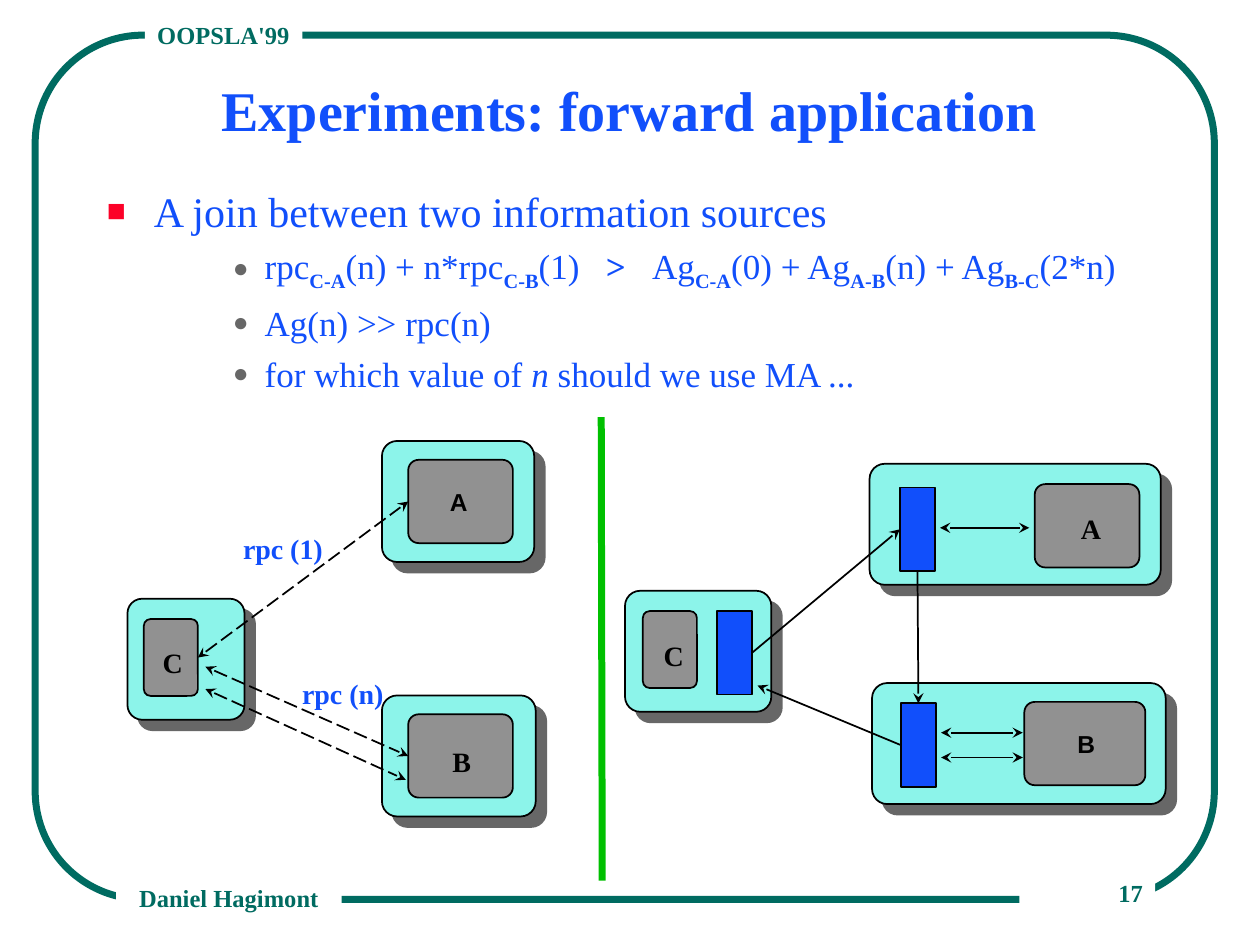
import pptx
import pptx.dml.color
import pptx.enum.dml
import pptx.enum.shapes
import pptx.enum.text
import pptx.oxml.ns
import pptx.util
from lxml import etree

Cm, Pt = pptx.util.Cm, pptx.util.Pt
SHAPE = pptx.enum.shapes.MSO_SHAPE
ALIGN = pptx.enum.text.PP_ALIGN
ANCHOR = pptx.enum.text.MSO_ANCHOR
DASH = pptx.enum.dml.MSO_LINE.LONG_DASH

GREEN, BLUE, BLACK, WHITE = "006B61", "114FFB", "000000", "FFFFFF"
AQUA, GRAY, DARK, RED, DIVIDER = "8CF4EA", "919191", "676767", "FC0128", "00C000"
SERIF, SANS = "Times New Roman", "Arial"
HOST_H = 2.44


def rgb(color):
    return pptx.dml.color.RGBColor.from_string(color)


def sub(parent, tag, **attrs):
    return etree.SubElement(parent, pptx.oxml.ns.qn(tag), attrs)


def style_font(font, size, color, bold=False, name=SERIF):
    font.size, font.bold, font.name = Pt(size), bold, name
    font.color.rgb = rgb(color)


def place(sp, box):
    sp.left, sp.top, sp.width, sp.height = (Cm(v) for v in box)


def add_box(s, box, kind, fill=None, line=BLACK, width=1):
    sp = s.shapes.add_shape(kind, *(Cm(v) for v in box))
    sp.shadow.inherit = False
    if kind == SHAPE.ROUNDED_RECTANGLE:
        sp.adjustments[0] = 0.125
    if fill:
        sp.fill.solid()
        sp.fill.fore_color.rgb = rgb(fill)
    else:
        sp.fill.background()
    sp.line.color.rgb = rgb(line)
    sp.line.width = Pt(width)
    return sp


def add_label(s, box, text, size=16, color=BLACK, name=SERIF, align=ALIGN.LEFT, fill=None):
    sp = s.shapes.add_textbox(*(Cm(v) for v in box))
    if fill:
        sp.fill.solid()
        sp.fill.fore_color.rgb = rgb(fill)
    tf = sp.text_frame
    tf.word_wrap = align != ALIGN.LEFT
    tf.text = text
    p = tf.paragraphs[0]
    p.alignment = align
    style_font(p.runs[0].font, size, color, True, name)
    return sp


def add_link(s, origin, start, end, color=BLACK, width=1, dash=None, head=False, tail=True):
    """Each end is an (x, y) point within the region or a (shape, site) pair."""
    ends = []
    for a, b in (start, end):
        glued = isinstance(a, pptx.shapes.autoshape.Shape)
        ends += [0, 0] if glued else [Cm(origin[0] + a), Cm(origin[1] + b)]
    c = s.shapes.add_connector(pptx.enum.shapes.MSO_CONNECTOR.STRAIGHT, *ends)
    for (a, b), connect in ((start, c.begin_connect), (end, c.end_connect)):
        if isinstance(a, pptx.shapes.autoshape.Shape):
            connect(a, b)
    c.line.color.rgb = rgb(color)
    c.line.width = Pt(width)
    if dash:
        c.line.dash_style = dash
    ln = c.line._get_or_add_ln()
    for wanted, tag in ((head, "a:headEnd"), (tail, "a:tailEnd")):
        if wanted:
            sub(ln, tag, type="stealth")
    sub(c._element.spPr, "a:effectLst")
    return c


def add_host(s, box, core, label, text, size=16, name=SERIF, agent=None):
    """A machine with its application core, its letter and an optional agent."""
    x, y = box[:2]
    sp = add_box(s, box, SHAPE.ROUNDED_RECTANGLE, AQUA)
    effects = sp._element.spPr.find(pptx.oxml.ns.qn("a:effectLst"))
    shadow = sub(effects, "a:outerShdw", dist=str(Pt(8.5)), dir="2700000",
                 algn="tl", rotWithShape="0")
    sub(shadow, "a:srgbClr", val=DARK)
    core_sp = add_box(s, (x + core[0], y + core[1], *core[2:]), SHAPE.ROUNDED_RECTANGLE, GRAY)
    add_label(s, (x + label[0], y + label[1], 0.9, 0.92), text, size, name=name)
    agent_sp = None
    if agent:
        agent_sp = add_box(s, (x + agent[0], y + agent[1], 0.71, 1.68), SHAPE.RECTANGLE, BLUE)
    return core_sp, agent_sp


def add_frame(s, box):
    x, y, w, h = box
    add_box(s, box, SHAPE.ROUNDED_RECTANGLE, line=GREEN, width=4)
    labels = [
        ((x + 2.21, y - 0.43, 3.18, 0.84), "OOPSLA'99", ALIGN.LEFT),
        ((x + 19.84, y + h - 0.56, 2.74, 0.84), "17", ALIGN.RIGHT),
        ((x + 1.63, y + h - 0.46, 4.55, 0.66), "Daniel Hagimont", ALIGN.CENTER),
    ]
    for label_box, text, align in labels:
        sp = add_label(s, label_box, text, 14, GREEN, align=align, fill=WHITE)
        if align == ALIGN.RIGHT:
            sp.text_frame.vertical_anchor = ANCHOR.MIDDLE


def fill_title(s, box):
    sp = s.shapes.title
    place(sp, box)
    tf = sp.text_frame
    tf.text = "Experiments: forward application"
    tf.vertical_anchor = ANCHOR.BOTTOM
    tf.auto_size = pptx.enum.text.MSO_AUTO_SIZE.NONE
    tf.paragraphs[0].alignment = ALIGN.CENTER
    style_font(tf.paragraphs[0].runs[0].font, 32, BLUE, True)


def fill_body(s, box):
    sp = s.placeholders[1]
    place(sp, box)
    tf = sp.text_frame
    tf.auto_size = pptx.enum.text.MSO_AUTO_SIZE.NONE
    items = [
        (0, [("A join between two information sources", "")]),
        (2, [("rpc", ""), ("C-A", "sub"), ("(n) + n*rpc", ""), ("C-B", "sub"), ("(1)", ""),
             (" ", "gap"), (">", "bold"), (" ", "gap"), ("Ag", ""), ("C-A", "sub"),
             ("(0) + Ag", ""), ("A-B", "sub"), ("(n) + Ag", ""), ("B-C", "sub"), ("(2*n)", "")]),
        (2, [("Ag(n) >> rpc(n)", "")]),
        (2, [("for which value of ", ""), ("n", "italic"), (" should we use MA ...", "")]),
    ]
    for i, (level, runs) in enumerate(items):
        p = tf.paragraphs[0] if i == 0 else tf.add_paragraph()
        p.level = level
        p.space_before = Pt(5.1 if i else 0)
        p.space_after = Pt(0.1)
        # Bullet and hanging indent
        margin, hang, mark, color = (3.18, 0.64, "●", DARK) if level else (0.95, 0.95, "■", RED)
        pPr = p._p.get_or_add_pPr()
        pPr.set("marL", str(Cm(margin)))
        pPr.set("indent", str(-Cm(hang)))
        sub(sub(pPr, "a:buClr"), "a:srgbClr", val=color)
        sub(pPr, "a:buSzPct", val="75000")
        sub(pPr, "a:buFont", typeface=SERIF)
        sub(pPr, "a:buChar", char=mark)
        for text, style in runs:
            r = p.add_run()
            r.text = text
            style_font(r.font, 20 if level else 24, BLUE, style in ("sub", "bold"))
            r.font.italic = style == "italic"
            if style == "sub":
                r._r.get_or_add_rPr().set("baseline", "-25000")
            elif style == "gap":
                r._r.get_or_add_rPr().set("spc", "1000")


def add_rpc_panel(s, box):
    x, y = box[:2]
    core = (0.53, 0.38, 2.11, 1.68)
    c, _ = add_host(s, (x, y + 3.18, 2.36, HOST_H), (0.33, 0.41, 1.09, 1.55), (0.46, 0.81), "C")
    a, _ = add_host(s, (x + 5.13, y, 3.07, HOST_H), core, (1.12, 0.81), "A", 14, SANS)
    b, _ = add_host(s, (x + 5.13, y + 5.13, 3.1, HOST_H), core, (1.17, 0.86), "B")
    # Remote calls
    for start, end in [((c, 3), (a, 1)), ((1.57, 4.55), (b, 1)), ((1.57, 5), (5.61, 6.83))]:
        add_link(s, box, start, end, dash=DASH, head=True)
    add_label(s, (x + 2.08, y + 1.7, 2.13, 0.94), "rpc (1)", color=BLUE)
    add_label(s, (x + 3.27, y + 4.62, 2.16, 0.94), "rpc (n)", color=BLUE)


def add_agent_panel(s, box):
    x, y = box[:2]
    _, a = add_host(s, (x + 4.93, y, 5.87, HOST_H), (3.33, 0.41, 2.11, 1.68), (4.01, 0.84),
                    "A", agent=(0.61, 0.48))
    _, b = add_host(s, (x + 4.98, y + 4.42, 5.92, HOST_H), (3.07, 0.38, 2.44, 1.68),
                    (3.89, 0.81), "B", 14, SANS, agent=(0.58, 0.41))
    _, c = add_host(s, (x, y + 2.56, 2.95, HOST_H), (0.36, 0.41, 1.09, 1.55), (0.53, 0.84),
                    "C", agent=(1.85, 0.41))
    # Local exchanges
    for left, right, level in [(6.35, 8.15, 1.29), (6.37, 8.02, 5.42), (6.37, 8.02, 5.92)]:
        add_link(s, box, (left, level), (right, level), head=True)
    # Agent itinerary
    for start, end in [((c, 3), (a, 1)), ((a, 2), (b, 0)), ((b, 1), (2.67, 4.47))]:
        add_link(s, box, start, end)


def main():
    prs = pptx.Presentation()
    prs.slide_width, prs.slide_height = Cm(25.4), Cm(19.05)
    s = prs.slides.add_slide(prs.slide_layouts[1])
    add_frame(s, (0.71, 0.71, 23.77, 17.42))
    fill_title(s, (1.9, 1.07, 21.59, 1.93))
    fill_body(s, (1.9, 3.61, 22.02, 13.08))
    add_rpc_panel(s, (2.57, 8.89, 8.23, 7.57))
    add_link(s, (0, 0), (12.12, 8.41), (12.14, 17.75), DIVIDER, 4, tail=False)
    add_agent_panel(s, (12.6, 9.35, 10.9, 6.86))
    prs.save("out.pptx")


if __name__ == "__main__":
    main()
